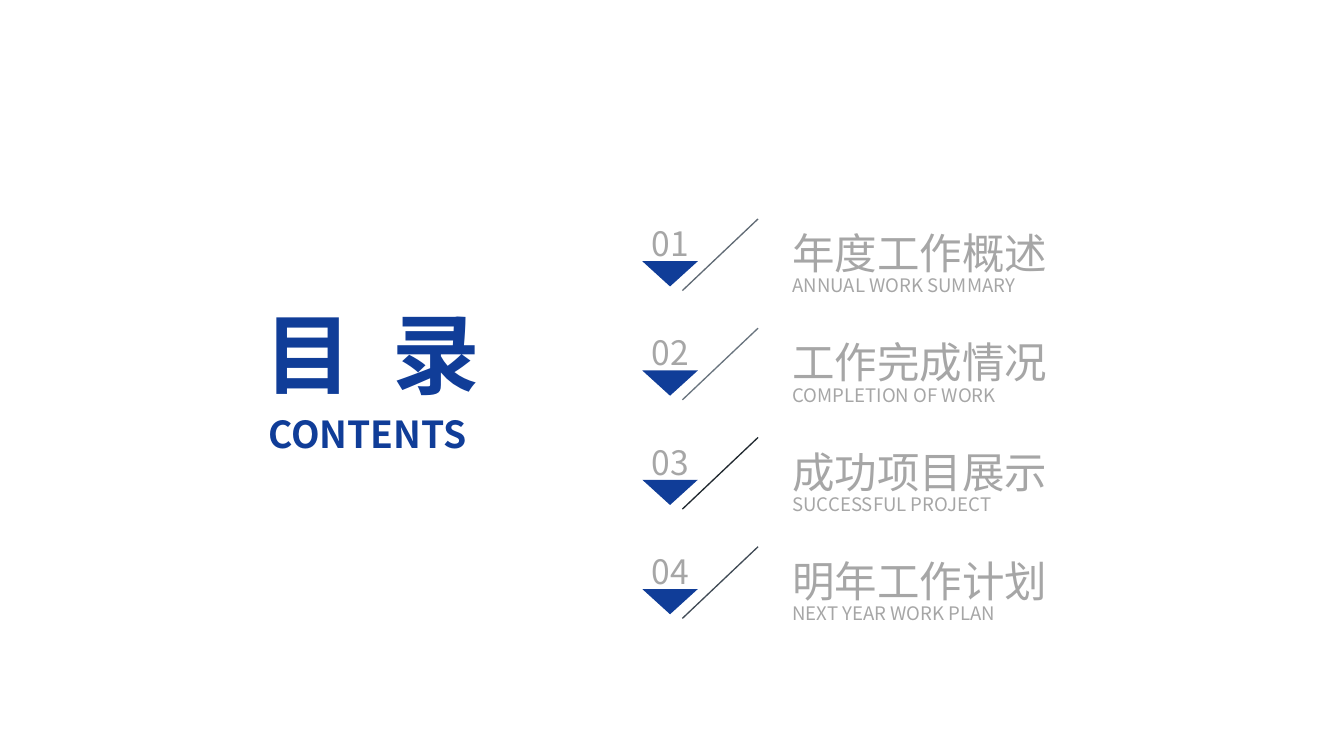
"""Build a contents slide with a title and four numbered sections."""
import dataclasses

import pptx
import pptx.dml.color
import pptx.enum.shapes
import pptx.enum.text
import pptx.oxml.ns
import pptx.util

Pt = pptx.util.Pt
ALIGN = pptx.enum.text.PP_ALIGN
ANCHOR = pptx.enum.text.MSO_ANCHOR
FONT = "Noto Sans CJK SC"
BLUE = "103D98"
GREY = "A6A6A6"
PITCH = 82.32
HEADING_LINE = 42
CAPTION_LINE = 14


@dataclasses.dataclass(frozen=True)
class Section:
    heading: str
    caption: str
    slash_color: str


SECTIONS = [
    Section("年度工作概述", "ANNUAL WORK SUMMARY", "606A74"),
    Section("工作完成情况", "COMPLETION OF WORK", "69747E"),
    Section("成功项目展示", "SUCCESSFUL PROJECT", "20282F"),
    Section("明年工作计划", "NEXT YEAR WORK PLAN", "414B56"),
]


def rgb(color: str) -> pptx.dml.color.RGBColor:
    return pptx.dml.color.RGBColor.from_string(color)


def add_child(parent, tag: str, **attributes: str) -> None:
    child = parent.makeelement(pptx.oxml.ns.qn(tag), attributes)
    parent.append(child)


def place(holder, left: float, top: float, width: float, height: float, anchor):
    holder.left, holder.top = Pt(left), Pt(top)
    holder.width, holder.height = Pt(width), Pt(height)
    frame = holder.text_frame
    frame.margin_left = frame.margin_right = 0
    frame.margin_top = frame.margin_bottom = 0
    frame.word_wrap = True
    frame.auto_size = pptx.enum.text.MSO_AUTO_SIZE.NONE
    frame.vertical_anchor = anchor
    return frame


def write(paragraph, text: str, *, size: float, color: str, bold: bool = False,
          align=ALIGN.LEFT, line: float = 0, before: float = 0,
          tracking: float = 0) -> None:
    paragraph.alignment = align
    paragraph.space_before = Pt(before)
    if line:
        paragraph.line_spacing = Pt(line)
    properties = paragraph._p.get_or_add_pPr()
    properties.set("marL", "0")
    properties.set("indent", "0")
    add_child(properties, "a:buNone")
    run = paragraph.add_run()
    run.text = text
    run.font.size = Pt(size)
    run.font.bold = bold
    run.font.color.rgb = rgb(color)
    run.font.name = FONT
    character = run._r.get_or_add_rPr()
    add_child(character, "a:ea", typeface=FONT)
    if tracking:
        character.set("spc", str(round(tracking * 100)))


def draw_marker(slide, number: int, section: Section) -> None:
    offset = (number - 1) * PITCH
    marker = slide.shapes.add_group_shape().shapes

    slash = marker.add_connector(
        pptx.enum.shapes.MSO_CONNECTOR.STRAIGHT,
        Pt(571), Pt(164.9 + offset), Pt(514), Pt(218.9 + offset))
    slash.line.color.rgb = rgb(section.slash_color)
    slash.line.width = Pt(1)
    add_child(slash._element.spPr, "a:effectLst")

    top = 196.8 + offset
    outline = marker.build_freeform(Pt(483.8), Pt(top))
    outline.add_line_segments(
        [(Pt(525.6), Pt(top)), (Pt(504.7), Pt(top + 19))], close=True)
    pointer = outline.convert_to_shape()
    pointer.shadow.inherit = False
    pointer.fill.solid()
    pointer.fill.fore_color.rgb = rgb(BLUE)
    pointer.line.fill.background()

    label = place(marker.add_textbox(0, 0, 0, 0),
                  482.4, 167.3 + offset, 44.6, 31, ANCHOR.BOTTOM)
    write(label.paragraphs[0], f"{number:02}", size=25.3, color=GREY,
          align=ALIGN.CENTER)


def main() -> None:
    deck = pptx.Presentation()
    deck.slide_width, deck.slide_height = Pt(1012.32), Pt(569.52)
    slide = deck.slides.add_slide(deck.slide_layouts[1])

    title = place(slide.shapes.title, 167.5, 225.5, 226, 80, ANCHOR.MIDDLE)
    write(title.paragraphs[0], "目 录", size=66, color=BLUE, bold=True,
          align=ALIGN.CENTER, tracking=7.5)

    subtitle = place(slide.shapes.add_textbox(0, 0, 0, 0),
                     164.9, 307.4, 223.9, 36, ANCHOR.TOP)
    write(subtitle.paragraphs[0], "CONTENTS", size=28, color=BLUE, bold=True,
          align=ALIGN.CENTER, line=36)

    entry_height = HEADING_LINE + CAPTION_LINE
    contents = place(slide.placeholders[1], 596.9, 167.5, 241.2,
                     entry_height + PITCH * (len(SECTIONS) - 1), ANCHOR.TOP)
    for number, section in enumerate(SECTIONS, 1):
        first = number == 1
        heading = contents.paragraphs[0] if first else contents.add_paragraph()
        write(heading, section.heading, size=32, color=GREY, line=HEADING_LINE,
              before=0 if first else PITCH - entry_height)
        write(contents.add_paragraph(), section.caption, size=14, color=GREY,
              line=CAPTION_LINE)
        draw_marker(slide, number, section)

    deck.save("out.pptx")


if __name__ == "__main__":
    main()
